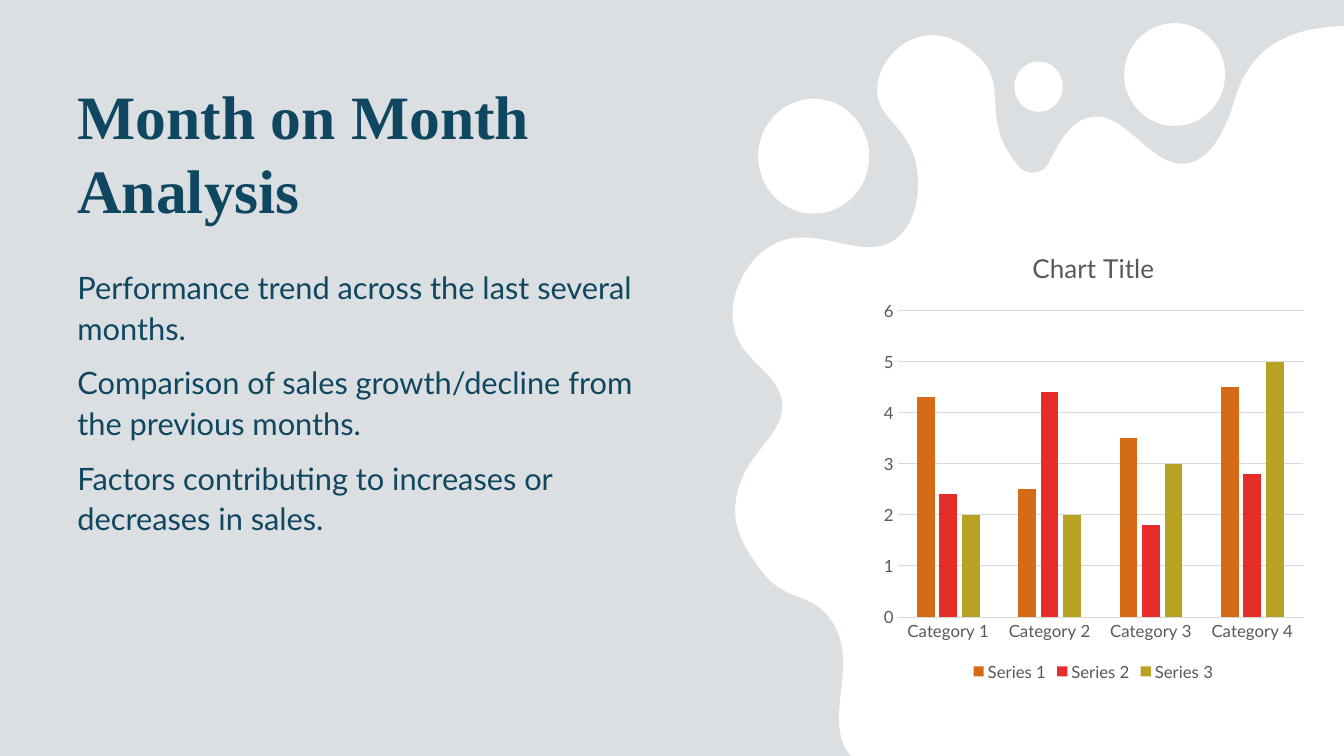
from dataclasses import dataclass

from lxml.etree import SubElement
from pptx import Presentation
from pptx.chart.data import CategoryChartData
from pptx.dml.color import RGBColor
from pptx.enum.chart import XL_CHART_TYPE, XL_LEGEND_POSITION, XL_TICK_MARK
from pptx.enum.shapes import MSO_SHAPE
from pptx.enum.text import MSO_ANCHOR
from pptx.oxml.ns import qn
from pptx.util import Pt

PX = 9144  # EMU per px, 100 px to the inch
PAGE = (1333, 750)
ARC = 0.55  # control arm of a quarter circle, as a share of its radius


@dataclass(frozen=True)
class Theme:
    background: str = "E2E5E8"
    tint: str = "AEAEAE"
    splash: str = "FFFFFF"
    ink: str = "0F4761"
    chart_ink: str = "595959"
    grid: str = "D9D9D9"
    series: tuple = ("D56A17", "E72D29", "B8A221")
    title_font: str = "Times New Roman"
    body_font: str = "Lato"
    title_size: float = 44
    body_size: float = 22
    chart_title_size: float = 18.6
    label_size: float = 12


THEME = Theme()

POINTS = (
    "Performance trend across the last several months.",
    "Comparison of sales growth/decline from the previous months.",
    "Factors contributing to increases or decreases in sales.",
)
CATEGORIES = [f"Category {number}" for number in range(1, 5)]
SERIES = {
    "Series 1": (4.3, 2.5, 3.5, 4.5),
    "Series 2": (2.4, 4.4, 1.8, 2.8),
    "Series 3": (2, 2, 3, 5),
}

# Centre x, centre y, radius x, radius y
DROPS = ((807, 155, 55, 57), (1030, 86, 24, 25), (1165, 74, 50, 51))
SPLASH_START = (1333, 26)
# Each row is one Bezier curve: two control points and the end point.
SPLASH_CURVES = (
    ((1327, 26), (1322, 26), (1316, 27)),
    ((1238, 35), (1228, 88), (1220, 114)),
    ((1218, 119), (1215, 124), (1213, 129)),
    ((1205, 145), (1195, 158), (1179, 162)),
    ((1140, 169), (1117, 107), (1079, 117)),
    ((1060, 122), (1050, 143), (1040, 162)),
    ((1034, 173), (1019, 175), (1010, 165)),
    ((1006, 160), (1002, 155), (999, 149)),
    ((977, 112), (998, 82), (971, 57)),
    ((966, 52), (948, 35), (925, 35)),
    ((921, 35), (918, 35), (914, 36)),
    ((890, 41), (871, 65), (870, 88)),
    ((869, 118), (902, 125), (909, 165)),
    ((913, 186), (910, 220), (890, 236)),
    ((856, 264), (807, 217), (763, 245)),
    ((739, 260), (724, 292), (727, 318)),
    ((731, 360), (775, 367), (776, 403)),
    ((776, 433), (740, 449), (731, 490)),
    ((724, 521), (738, 543), (755, 566)),
    ((779, 598), (801, 586), (822, 612)),
    ((855, 654), (817, 708), (840, 745)),
)
SPLASH_CORNERS = ((844, 750), PAGE)


def color(code):
    return RGBColor.from_string(code)


def emu(*lengths):
    return [round(length * PX) for length in lengths]


def set_font(font, size, code, name=THEME.body_font, bold=False):
    font.size = Pt(size)
    font.name = name
    font.bold = bold
    font.color.rgb = color(code)


def paint(shape, code):
    shape.shadow.inherit = False
    shape.fill.solid()
    shape.fill.fore_color.rgb = color(code)
    shape.line.fill.background()


def add_backdrop(page, code, opacity=100):
    shape = page.shapes.add_shape(MSO_SHAPE.RECTANGLE, 0, 0, *emu(*PAGE))
    paint(shape, code)
    if opacity < 100:
        tone = next(shape.element.iter(qn("a:srgbClr")))
        SubElement(tone, qn("a:alpha")).set("val", str(opacity * 1000))


def drop_points(x, y, rx, ry):
    """Give the Bezier points of an ellipse, clockwise from its right end."""
    for c, s in ((1, 0), (0, 1), (-1, 0), (0, -1)):
        for along, across in ((1, ARC), (ARC, 1), (0, 1)):
            yield x + rx * (c * along - s * across), y + ry * (s * along + c * across)


def bend(lines):
    """Turn every three line segments into one Bezier curve."""
    for first in range(0, len(lines), 3):
        trio = lines[first:first + 3]
        curve = SubElement(trio[0].getparent(), qn("a:cubicBezTo"))
        trio[0].addprevious(curve)
        for line in trio:
            curve.append(line[0])
            line.getparent().remove(line)


def add_splash(page):
    builder = page.shapes.build_freeform(*emu(*SPLASH_START))
    edge = [point for curve in SPLASH_CURVES for point in curve]
    builder.add_line_segments([emu(*point) for point in (*edge, *SPLASH_CORNERS)])
    for x, y, rx, ry in DROPS:
        builder.move_to(*emu(x + rx, y))
        builder.add_line_segments([emu(*point) for point in drop_points(x, y, rx, ry)])
    shape = builder.convert_to_shape()
    lines = list(shape.element.iter(qn("a:lnTo")))
    bend(lines[:len(edge)])
    bend(lines[-12 * len(DROPS):])
    paint(shape, THEME.splash)


def add_text(page, bounds, paragraphs, *, size, font, bold=False,
             anchor=MSO_ANCHOR.TOP, spacing=1.0, before=0):
    box = page.shapes.add_textbox(*emu(*bounds))
    frame = box.text_frame
    frame.word_wrap = True
    frame.vertical_anchor = anchor
    for index, text in enumerate(paragraphs):
        para = frame.add_paragraph() if index else frame.paragraphs[0]
        para.line_spacing = spacing
        para.space_before = Pt(before)
        span = para.add_run()
        span.text = text
        set_font(span.font, size, THEME.ink, font, bold)


def style_axis(axis):
    axis.major_tick_mark = axis.minor_tick_mark = XL_TICK_MARK.NONE
    set_font(axis.tick_labels.font, THEME.label_size, THEME.chart_ink)


def style_line(line):
    line.color.rgb = color(THEME.grid)
    line.width = Pt(0.75)


def add_column_chart(page, bounds, title):
    data = CategoryChartData()
    data.categories = CATEGORIES
    for name, values in SERIES.items():
        data.add_series(name, values)
    chart = page.shapes.add_chart(
        XL_CHART_TYPE.COLUMN_CLUSTERED, *emu(*bounds), data).chart
    set_font(chart.font, THEME.label_size, THEME.chart_ink)

    span = chart.chart_title.text_frame.paragraphs[0].add_run()
    span.text = title
    set_font(span.font, THEME.chart_title_size, THEME.chart_ink)
    chart.chart_title.include_in_layout = False

    chart.has_legend = True
    chart.legend.position = XL_LEGEND_POSITION.BOTTOM
    chart.legend.include_in_layout = False
    set_font(chart.legend.font, THEME.label_size, THEME.chart_ink)

    style_axis(chart.category_axis)
    style_line(chart.category_axis.format.line)
    scale = chart.value_axis
    style_axis(scale)
    scale.minimum_scale, scale.maximum_scale, scale.major_unit = 0, 6, 1
    scale.format.line.fill.background()
    style_line(scale.major_gridlines.format.line)

    plot = chart.plots[0]
    plot.gap_width, plot.overlap = 219, -27
    plot.vary_by_categories = False
    for series, code in zip(plot.series, THEME.series):
        paint_fill = series.format.fill
        paint_fill.solid()
        paint_fill.fore_color.rgb = color(code)


def main():
    deck = Presentation()
    deck.slide_width, deck.slide_height = emu(*PAGE)
    page = deck.slides.add_slide(deck.slide_layouts[6])
    add_backdrop(page, THEME.background)
    add_backdrop(page, THEME.tint, opacity=10)
    add_splash(page)
    add_text(page, (67, 57, 587, 172), ["Month on Month Analysis"], size=THEME.title_size,
             font=THEME.title_font, bold=True, anchor=MSO_ANCHOR.BOTTOM)
    add_text(page, (67, 258, 586, 281), POINTS, size=THEME.body_size,
             font=THEME.body_font, spacing=1.1, before=10)
    add_column_chart(page, (868, 228, 433, 452), "Chart Title")
    deck.save("out.pptx")


if __name__ == "__main__":
    main()
